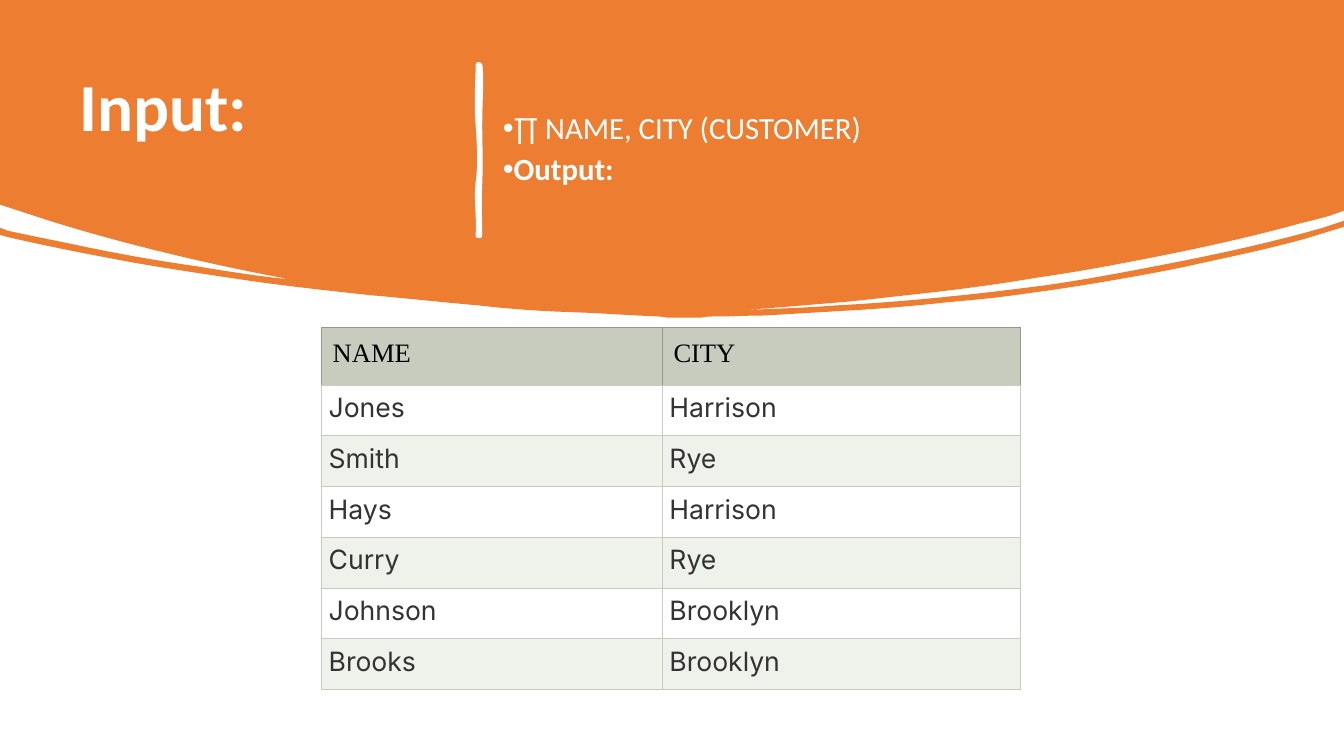
from lxml.etree import SubElement
from pptx import Presentation
from pptx.dml.color import RGBColor
from pptx.enum.text import MSO_ANCHOR as Anchor, PP_ALIGN as Align
from pptx.oxml import parse_xml
from pptx.oxml.ns import nsdecls, qn
from pptx.util import Inches, Pt

ORANGE = RGBColor(0xED, 0x7D, 0x31)
WHITE = RGBColor(0xFF, 0xFF, 0xFF)
BLACK = RGBColor(0x00, 0x00, 0x00)
INK = RGBColor(0x33, 0x33, 0x33)
SAGE = RGBColor(0xC7, 0xCC, 0xBE)
DARK_SAGE = RGBColor(0x90, 0x99, 0x8A)
PALE_SAGE = RGBColor(0xEF, 0xF1, 0xEB)

TITLE = "Input:"
QUERY = [("∏ NAME, CITY (CUSTOMER)", False), ("Output:", True)]
CUSTOMERS = [
    ("NAME", "CITY"),
    ("Jones", "Harrison"),
    ("Smith", "Rye"),
    ("Hays", "Harrison"),
    ("Curry", "Rye"),
    ("Johnson", "Brooklyn"),
    ("Brooks", "Brooklyn"),
]

WIDTH, HEIGHT = 13.33, 7.5
TEXT_TOP, TEXT_HEIGHT = 0.69, 1.6
TITLE_LEFT, TITLE_WIDTH = 0.69, 3.94
QUERY_LEFT, QUERY_WIDTH = 4.89, 7.74
TABLE_LEFT, TABLE_TOP, TABLE_HEIGHT = 3.19, 3.25, 3.59
COLUMN_WIDTHS = (3.38, 3.55)
HEADER_HEIGHT = 0.57

BAND = [
    (0, 0), (WIDTH, 0), (WIDTH, 2.09), (13.19, 2.14),
    (13.05, 2.18, 12.91, 2.21, 12.77, 2.25),
    (12.32, 2.37, 11.86, 2.47, 11.4, 2.56),
    (11.04, 2.63, 10.67, 2.7, 10.31, 2.75),
    (9.96, 2.81, 9.6, 2.86, 9.25, 2.9),
    (8.98, 2.93, 8.71, 2.96, 8.44, 2.99),
    (7.6, 3.06), (7.59, 3.06), (7.43, 3.07),
    (7.44, 3.07),
    (7.45, 3.08, 7.46, 3.07, 7.48, 3.07),
    (7.49, 3.07, 7.51, 3.07, 7.53, 3.07),
    (7.78, 3.06, 8.04, 3.05, 8.29, 3.03),
    (8.67, 3.01, 9.05, 2.98, 9.43, 2.94),
    (9.74, 2.91, 10.06, 2.87, 10.37, 2.83),
    (10.79, 2.77, 11.21, 2.69, 11.62, 2.61),
    (12.13, 2.51, 12.63, 2.4, 13.12, 2.26),
    (WIDTH, 2.19), (WIDTH, 2.25), (12.94, 2.37),
    (12.61, 2.46, 12.29, 2.53, 11.96, 2.6),
    (11.62, 2.68, 11.27, 2.74, 10.92, 2.8),
    (10.63, 2.85, 10.34, 2.89, 10.05, 2.93),
    (9.83, 2.96, 9.6, 2.98, 9.38, 3),
    (9.12, 3.03, 8.86, 3.05, 8.6, 3.07),
    (8.26, 3.09, 7.92, 3.11, 7.58, 3.13),
    (7.42, 3.13, 7.25, 3.14, 7.08, 3.14),
    (7.04, 3.14, 7, 3.14, 6.96, 3.15),
    (6.62, 3.15), (6.54, 3.14),
    (6.28, 3.13, 6.02, 3.11, 5.76, 3.1),
    (5.42, 3.09, 5.09, 3.07, 4.75, 3.03),
    (4.4, 3, 4.04, 2.96, 3.69, 2.93),
    (3.32, 2.89, 2.95, 2.85, 2.58, 2.8),
    (2.17, 2.74, 1.76, 2.68, 1.35, 2.61),
    (0.92, 2.53, 0.5, 2.45, 0.07, 2.35),
    (0, 2.33), (0, 2.26), (0.08, 2.29),
    (0.27, 2.33, 0.46, 2.37, 0.66, 2.41),
    (1.08, 2.5, 1.51, 2.58, 1.94, 2.64),
    (2.24, 2.69, 2.55, 2.74, 2.86, 2.77),
    (2.85, 2.78, 2.84, 2.76, 2.82, 2.76),
    (2.28, 2.66, 1.75, 2.54, 1.22, 2.4),
    (0.96, 2.33, 0.71, 2.26, 0.46, 2.18),
    (0, 2.03),
]
DIVIDER_EDGE = [
    (4.76, 0.64),
    (4.78, 0.76, 4.76, 1.02, 4.76, 1.24),
    (4.76, 1.46, 4.77, 1.58, 4.76, 1.82),
    (4.75, 2.07, 4.76, 2.13, 4.76, 2.34),
    (4.75, 2.34, 4.75, 2.34, 4.74, 2.34),
    (4.75, 2.1, 4.72, 1.97, 4.74, 1.81),
    (4.76, 1.65, 4.76, 1.52, 4.74, 1.24),
    (4.72, 0.97, 4.74, 0.81, 4.74, 0.64),
    (4.75, 0.64, 4.75, 0.64, 4.76, 0.64),
]
DIVIDER_BODY = [
    (4.76, 0.64),
    (4.76, 0.91, 4.73, 1.04, 4.76, 1.19),
    (4.79, 1.34, 4.78, 1.53, 4.76, 1.71),
    (4.74, 1.88, 4.75, 2.03, 4.76, 2.34),
    (4.75, 2.34, 4.75, 2.34, 4.74, 2.34),
    (4.75, 2.1, 4.74, 2.07, 4.74, 1.81),
    (4.74, 1.54, 4.72, 1.5, 4.74, 1.21),
    (4.76, 0.91, 4.75, 0.79, 4.74, 0.64),
    (4.75, 0.64, 4.75, 0.64, 4.76, 0.64),
]


def add_outline(slide, outlines, color, line_width=None):
    ends = [(Inches(segment[-2]), Inches(segment[-1])) for segment in outlines[0][0]]
    builder = slide.shapes.build_freeform(*ends[0])
    builder.add_line_segments(ends[1:], close=True)
    shape = builder.convert_to_shape()
    path_list = shape._element.spPr.find(qn("a:custGeom")).find(qn("a:pathLst"))
    path_list.remove(path_list[0])
    for outline, attributes in outlines:
        contour = SubElement(path_list, qn("a:path"), w=str(shape.width), h=str(shape.height), **attributes)
        for index, segment in enumerate(outline):
            kind = "a:moveTo" if index == 0 else "a:lnTo" if len(segment) == 2 else "a:cubicBezTo"
            command = SubElement(contour, qn(kind))
            for x, y in zip(segment[::2], segment[1::2]):
                SubElement(command, qn("a:pt"), x=str(Inches(x) - shape.left), y=str(Inches(y) - shape.top))
        SubElement(contour, qn("a:close"))
    shape.shadow.inherit = False
    shape.fill.solid()
    shape.fill.fore_color.rgb = color
    if line_width:
        shape.line.color.rgb = color
        shape.line.width = Pt(line_width)
    else:
        shape.line.fill.background()


def write(paragraph, text, *, size, color, font="Calibri", bold=False, align=None,
          spacing=None, after=None, bullet=None, line_break=False):
    if bullet:
        properties = paragraph._p.get_or_add_pPr()
        properties.set("marL", "0")
        properties.set("indent", str(-Inches(0.25)))
        SubElement(properties, qn("a:buFont")).set("typeface", "Arial")
        SubElement(properties, qn("a:buChar")).set("char", bullet)
    paragraph.alignment = align
    paragraph.line_spacing = spacing
    if after is not None:
        paragraph.space_after = Pt(after)
    run = paragraph.add_run()
    run.text = text
    run.font.name = font
    run.font.size = Pt(size)
    run.font.bold = bold
    run.font.color.rgb = color
    if line_break:
        paragraph.add_line_break()
        for parent, tag in ((paragraph._p[-1], "a:rPr"), (paragraph._p, "a:endParaRPr")):
            properties = SubElement(parent, qn(tag), sz=str(size * 100))
            SubElement(properties, qn("a:latin"), typeface=font)


def add_text_frame(slide, left, width):
    box = slide.shapes.add_textbox(Inches(left), Inches(TEXT_TOP), Inches(width), Inches(TEXT_HEIGHT))
    frame = box.text_frame
    frame.word_wrap = True
    frame.vertical_anchor = Anchor.MIDDLE
    return frame


def set_borders(cell, colors):
    properties = cell._tc.get_or_add_tcPr()
    for position, (side, color) in enumerate(zip("LRTB", colors)):
        properties.insert(position, parse_xml(
            f'<a:ln{side} {nsdecls("a")} w="{Pt(0.6)}"><a:solidFill>'
            f'<a:srgbClr val="{color}"/></a:solidFill></a:ln{side}>'))


def add_customer_table(slide):
    table = slide.shapes.add_table(
        len(CUSTOMERS), len(COLUMN_WIDTHS), Inches(TABLE_LEFT), Inches(TABLE_TOP),
        Inches(sum(COLUMN_WIDTHS)), Inches(TABLE_HEIGHT)).table
    for column, width in zip(table.columns, COLUMN_WIDTHS):
        column.width = Inches(width)
    body_height = (TABLE_HEIGHT - HEADER_HEIGHT) / (len(CUSTOMERS) - 1)
    for row_index, customer in enumerate(CUSTOMERS):
        header = row_index == 0
        table.rows[row_index].height = Inches(HEADER_HEIGHT if header else body_height)
        for column_index, text in enumerate(customer):
            cell = table.cell(row_index, column_index)
            inset = Inches(0.11 if header else 0.07)
            cell.margin_left = cell.margin_right = cell.margin_top = cell.margin_bottom = inset
            cell.fill.solid()
            cell.fill.fore_color.rgb = SAGE if header else (PALE_SAGE, WHITE)[row_index % 2]
            set_borders(cell, [DARK_SAGE] * 3 + [SAGE] if header else [SAGE] * 4)
            write(cell.text_frame.paragraphs[0], text, size=19,
                  color=BLACK if header else INK,
                  font="Times New Roman" if header else "Inter",
                  align=None if header else Align.JUSTIFY)


def main():
    presentation = Presentation()
    presentation.slide_width = Inches(WIDTH)
    presentation.slide_height = Inches(HEIGHT)
    slide = presentation.slides.add_slide(presentation.slide_layouts[6])

    add_outline(slide, [(BAND, {})], ORANGE)
    title = add_text_frame(slide, TITLE_LEFT, TITLE_WIDTH)
    write(title.paragraphs[0], TITLE, size=48, color=WHITE, bold=True, spacing=0.9, line_break=True)

    add_outline(slide, [(DIVIDER_EDGE, {"fill": "none"}), (DIVIDER_BODY, {"stroke": "0"})],
                WHITE, line_width=3.25)
    query = add_text_frame(slide, QUERY_LEFT, QUERY_WIDTH)
    for index, (text, bold) in enumerate(QUERY):
        paragraph = query.add_paragraph() if index else query.paragraphs[0]
        write(paragraph, text, size=22, color=WHITE, bold=bold, spacing=0.9, after=6, bullet="•")

    add_customer_table(slide)
    presentation.save("out.pptx")


if __name__ == "__main__":
    main()
